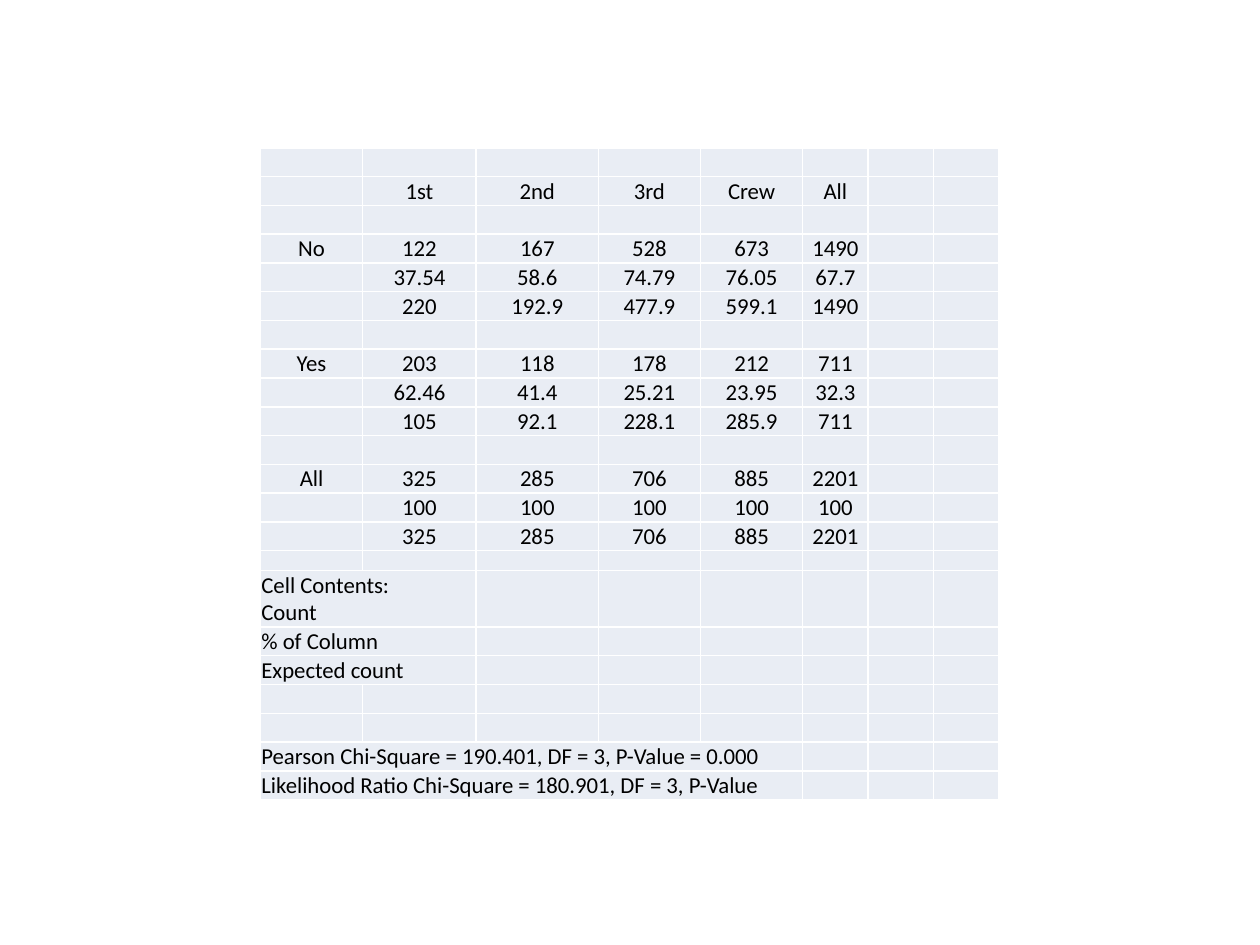
from lxml.etree import SubElement
from pptx import Presentation
from pptx.dml.color import RGBColor
from pptx.enum.text import MSO_ANCHOR, PP_ALIGN
from pptx.oxml.ns import qn
from pptx.util import Cm, Pt

COLORS = {"cell": "E9EDF4", "border": "FFFFFF", "text": "000000"}
FONT, TEXT_SIZE = "Calibri", Pt(13)

COLUMN_WIDTHS = [2.06, 2.29, 2.46, 2.06, 2.06, 1.32, 1.32, 1.32]
ROW_HEIGHT, NARROW_HEIGHT, NARROW_ROW = 0.58, 0.4, 14
COUNT_TAB = Cm(3.2)

COUNTS = {
    1: ["", "1st", "2nd", "3rd", "Crew", "All"],
    3: ["No", "122", "167", "528", "673", "1490"],
    4: ["", "37.54", "58.6", "74.79", "76.05", "67.7"],
    5: ["", "220", "192.9", "477.9", "599.1", "1490"],
    7: ["Yes", "203", "118", "178", "212", "711"],
    8: ["", "62.46", "41.4", "25.21", "23.95", "32.3"],
    9: ["", "105", "92.1", "228.1", "285.9", "711"],
    11: ["All", "325", "285", "706", "885", "2201"],
    12: ["", "100", "100", "100", "100", "100"],
    13: ["", "325", "285", "706", "885", "2201"],
}
# row: (columns spanned, wording)
NOTES = {
    15: (2, "Cell Contents:\tCount"),
    16: (2, "% of Column"),
    17: (2, "Expected count"),
    20: (5, "Pearson Chi-Square = 190.401, DF = 3, P-Value = 0.000"),
    21: (5, "Likelihood Ratio Chi-Square = 180.901, DF = 3, P-Value"),
}
ROW_COUNT = max(NOTES) + 1


def style_cell(cell, blank_size):
    """Give an empty cell its borders, fill, margins and blank line height."""
    properties = cell._tc.get_or_add_tcPr()
    for side in ("a:lnL", "a:lnR", "a:lnT", "a:lnB"):
        border = SubElement(properties, qn(side), w=str(Pt(1)))
        solid = SubElement(border, qn("a:solidFill"))
        SubElement(solid, qn("a:srgbClr"), val=COLORS["border"])
    cell.fill.solid()
    cell.fill.fore_color.rgb = RGBColor.from_string(COLORS["cell"])
    cell.margin_left = cell.margin_right = cell.margin_top = Cm(0.02)
    cell.margin_bottom = 0
    cell.vertical_anchor = MSO_ANCHOR.BOTTOM
    SubElement(cell.text_frame.paragraphs[0]._p, qn("a:endParaRPr"),
               sz=str(int(blank_size.pt * 100)))


def write_cell(cell, wording, alignment):
    paragraph = cell.text_frame.paragraphs[0]
    paragraph.text = wording
    paragraph.alignment = alignment
    for run in paragraph.runs:
        run.font.name = FONT
        run.font.size = TEXT_SIZE
        run.font.color.rgb = RGBColor.from_string(COLORS["text"])
    if "\t" in wording:
        tabs = SubElement(paragraph._p.get_or_add_pPr(), qn("a:tabLst"))
        SubElement(tabs, qn("a:tab"), pos=str(COUNT_TAB), algn="l")


def add_survival_table(slide, left, top):
    heights = [NARROW_HEIGHT if row == NARROW_ROW else ROW_HEIGHT
               for row in range(ROW_COUNT)]
    table = slide.shapes.add_table(
        ROW_COUNT, len(COLUMN_WIDTHS), left, top,
        Cm(sum(COLUMN_WIDTHS)), Cm(sum(heights))).table
    table.first_row = table.horz_banding = False
    for column, width in zip(table.columns, COLUMN_WIDTHS):
        column.width = Cm(width)
    for index, (row, height) in enumerate(zip(table.rows, heights)):
        row.height = Cm(height)
        for cell in row.cells:
            style_cell(cell, Pt(8) if index == NARROW_ROW else TEXT_SIZE)

    for row, values in COUNTS.items():
        for column, value in enumerate(values):
            if value:
                write_cell(table.cell(row, column), value, PP_ALIGN.CENTER)
    for row, (span, wording) in NOTES.items():
        note = table.cell(row, 0)
        note.merge(table.cell(row, span - 1))
        write_cell(note, wording, PP_ALIGN.LEFT)


def main():
    presentation = Presentation()
    presentation.slide_width = Cm(25.4)
    presentation.slide_height = Cm(19.05)
    slide = presentation.slides.add_slide(presentation.slide_layouts[6])
    add_survival_table(slide, Cm(5.25), Cm(2.98))
    presentation.save("out.pptx")


if __name__ == "__main__":
    main()
